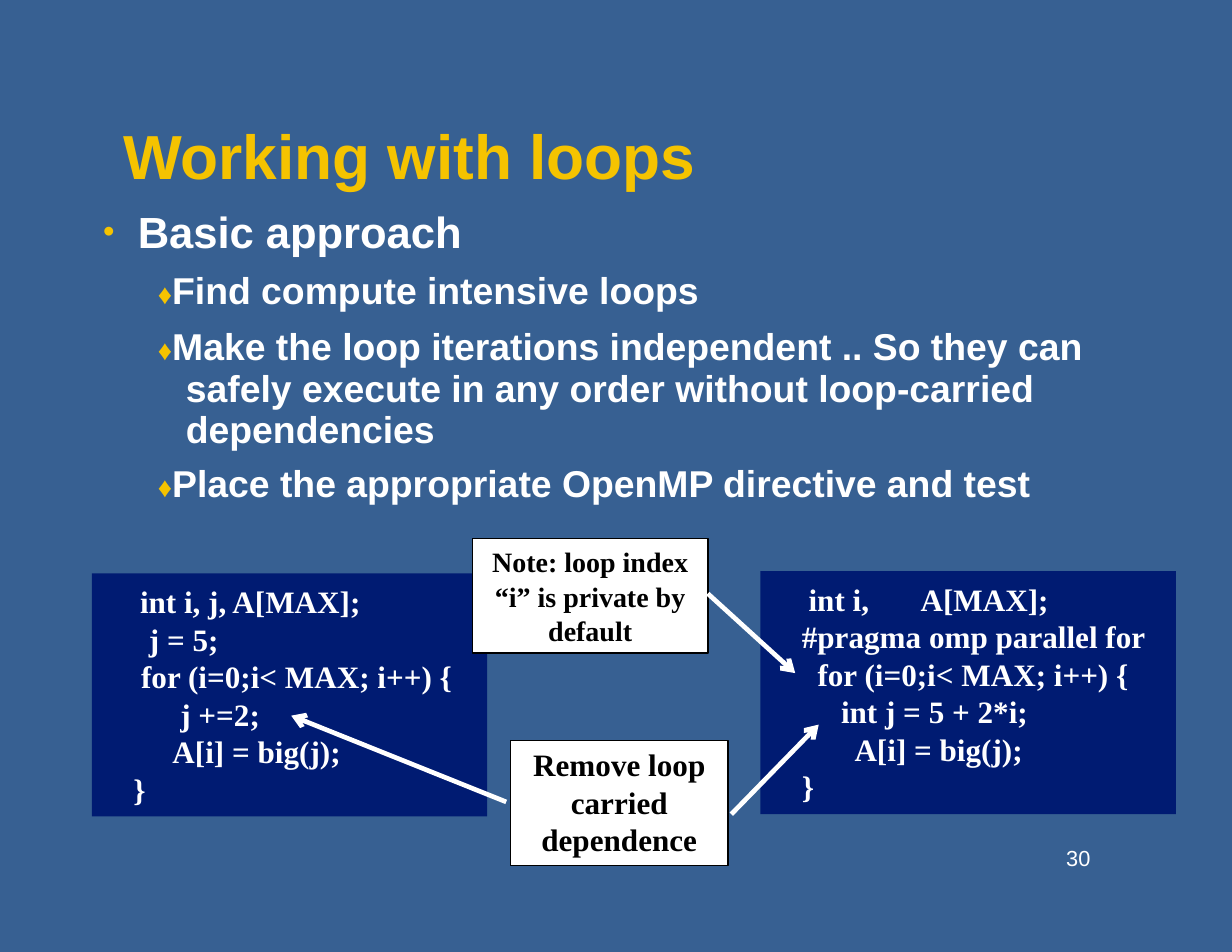
"""Builds the slide on working with loops in OpenMP."""
from lxml import etree
from pptx import Presentation
from pptx import util as u
from pptx.dml.color import RGBColor
from pptx.enum import shapes, text
from pptx.oxml import ns

WHITE, BLACK, GOLD, NAVY, BLUE = "FFFFFF", "000000", "F5C300", "001B72", "376092"
SANS, SERIF = "Arial", "Times New Roman"


def color(value):
    return RGBColor.from_string(value)


def add_xml(parent, tag, **attrs):
    return etree.SubElement(parent, ns.qn(tag), attrs)


class Deck:
    def __init__(self, width, height):
        self.prs = Presentation()
        self.prs.slide_width = u.Inches(width)
        self.prs.slide_height = u.Inches(height)
        self.s = None

    def slide(self, background):
        self.s = self.prs.slides.add_slide(self.prs.slide_layouts[1])
        fill = self.s.background.fill
        fill.solid()
        fill.fore_color.rgb = color(background)

    def place(self, sp, box):
        sp.left, sp.top, sp.width, sp.height = map(u.Inches, box)

    def frame(self, sp, inset=0, anchor=text.MSO_ANCHOR.TOP, wrap=True):
        tf = sp.text_frame
        tf.auto_size = text.MSO_AUTO_SIZE.NONE
        tf.word_wrap = wrap
        tf.vertical_anchor = anchor
        tf.margin_left = tf.margin_right = tf.margin_bottom = 0
        tf.margin_top = u.Inches(inset)
        return tf

    def font(self, r, size, name, hue, bold=True):
        r.font.size, r.font.name, r.font.bold = u.Pt(size), name, bold
        r.font.color.rgb = color(hue)

    def indent(self, p, left, hanging=0):
        pPr = p._p.get_or_add_pPr()
        pPr.set("marL", str(u.Inches(left)))
        pPr.set("indent", str(u.Inches(hanging)))
        return pPr

    def title(self, box, words):
        sp = self.s.shapes.title
        self.place(sp, box)
        tf = self.frame(sp, anchor=text.MSO_ANCHOR.BOTTOM, wrap=False)
        tf.text = words
        p = tf.paragraphs[0]
        p.alignment = text.PP_ALIGN.LEFT
        self.font(p.runs[0], 40, SANS, GOLD)

    def body(self, box, heading, items):
        sp = self.s.placeholders[1]
        self.place(sp, box)
        tf = self.frame(sp, 0.16)
        tf.text = heading
        p = tf.paragraphs[0]
        pPr = self.indent(p, 0.33, -0.31)
        add_xml(add_xml(pPr, "a:buClr"), "a:srgbClr", val=GOLD)
        add_xml(pPr, "a:buSzPct", val="75000")
        add_xml(pPr, "a:buChar", char="•")
        p.space_before = u.Pt(0)
        self.font(p.runs[0], 28, SANS, WHITE)
        for words, before, spacing in items:
            p = tf.add_paragraph()
            add_xml(self.indent(p, 0.76, -0.25), "a:buNone")
            p.space_before, p.line_spacing = u.Pt(before), spacing
            for part, size, hue, bold in (("♦", 18, GOLD, False), (words, 24, WHITE, True)):
                r = p.add_run()
                r.text = part
                self.font(r, size, SANS, hue, bold)

    def rectangle(self, box, fill, line=None):
        sp = self.s.shapes.add_shape(shapes.MSO_SHAPE.RECTANGLE, *map(u.Inches, box))
        sp.shadow.inherit = False
        sp.fill.solid()
        sp.fill.fore_color.rgb = color(fill)
        if line:
            sp.line.color.rgb = color(line)
            sp.line.width = u.Pt(1)
        else:
            sp.line.fill.background()
        return sp

    def note(self, box, words, size, pitch):
        tf = self.frame(self.rectangle(box, WHITE, BLACK), 0.05)
        tf.text = words
        p = tf.paragraphs[0]
        p.alignment = text.PP_ALIGN.CENTER
        p.line_spacing = u.Pt(pitch)
        for r in p.runs:
            self.font(r, size, SERIF, BLACK)

    def textbox(self, box, lines, size, name, pitch, bold=True, tab=None):
        sp = self.s.shapes.add_textbox(*map(u.Inches, box))
        tf = self.frame(sp, wrap=False)
        tf.text = "\n".join(words for words, _ in lines)
        for p, (_, left) in zip(tf.paragraphs, lines):
            pPr = self.indent(p, left)
            if tab and "\t" in p.text:
                add_xml(add_xml(pPr, "a:tabLst"), "a:tab", pos=str(u.Inches(tab)), algn="l")
            p.line_spacing = u.Pt(pitch)
            for r in p.runs:
                self.font(r, size, name, WHITE, bold)

    def arrow(self, start, end):
        c = self.s.shapes.add_connector(
            shapes.MSO_CONNECTOR.STRAIGHT, *map(u.Inches, start + end))
        c.line.color.rgb = color(WHITE)
        c.line.width = u.Pt(3)
        add_xml(c.line._get_or_add_ln(), "a:tailEnd", type="arrow")
        add_xml(c._element.spPr, "a:effectLst")


def main():
    deck = Deck(11, 8.5)
    deck.slide(BLUE)
    deck.title((1.1, 1.01, 5.15, 0.7), "Working with loops")
    deck.body((0.9, 1.67, 8.9, 2.82), "Basic approach", [
        ("Find compute intensive loops", 6.5, 1.0),
        ("Make the loop iterations independent .. So they can safely execute "
         "in any order without loop-carried dependencies", 9.2, u.Pt(26.8)),
        ("Place the appropriate OpenMP directive and test", 5.9, 1.0),
    ])
    serial = [
        ("int i, j, A[MAX];", 0.07),
        ("j = 5;", 0.15),
        ("for (i=0;i< MAX; i++) {", 0.08),
        ("j +=2;", 0.43),
        ("A[i] = big(j);", 0.36),
        ("}", 0.01),
    ]
    parallel = [
        ("int i,\tA[MAX];", 0.07),
        ("#pragma omp parallel for", 0.01),
        ("for (i=0;i< MAX; i++) {", 0.15),
        ("int j = 5 + 2*i;", 0.36),
        ("A[i] = big(j);", 0.48),
        ("}", 0.01),
    ]
    for left, top, width, code in ((0.82, 5.12, 3.53, serial), (6.79, 5.1, 3.71, parallel)):
        deck.rectangle((left, top, width, 2.17), NAVY)
        deck.textbox((left + 0.36, top + 0.08, width - 0.64, 2.04),
                     code, 20, SERIF, 24.1, tab=0.75)
    deck.note((4.56, 6.61, 1.94, 1.12), "Remove loop\vcarried\vdependence", 20, 24)
    deck.note((4.22, 4.81, 2.1, 1.02), "Note: loop index\v“i” is private by\vdefault", 18, 22)
    deck.arrow((4.52, 7.16), (2.6, 6.39))
    deck.arrow((6.53, 7.27), (7.31, 6.47))
    deck.arrow((6.32, 5.3), (7.1, 6.01))
    deck.textbox((9.48, 7.55, 0.3, 0.25), [("30", 0.04)], 14, SANS, 16.4, bold=False)
    deck.prs.save("out.pptx")


if __name__ == "__main__":
    main()
